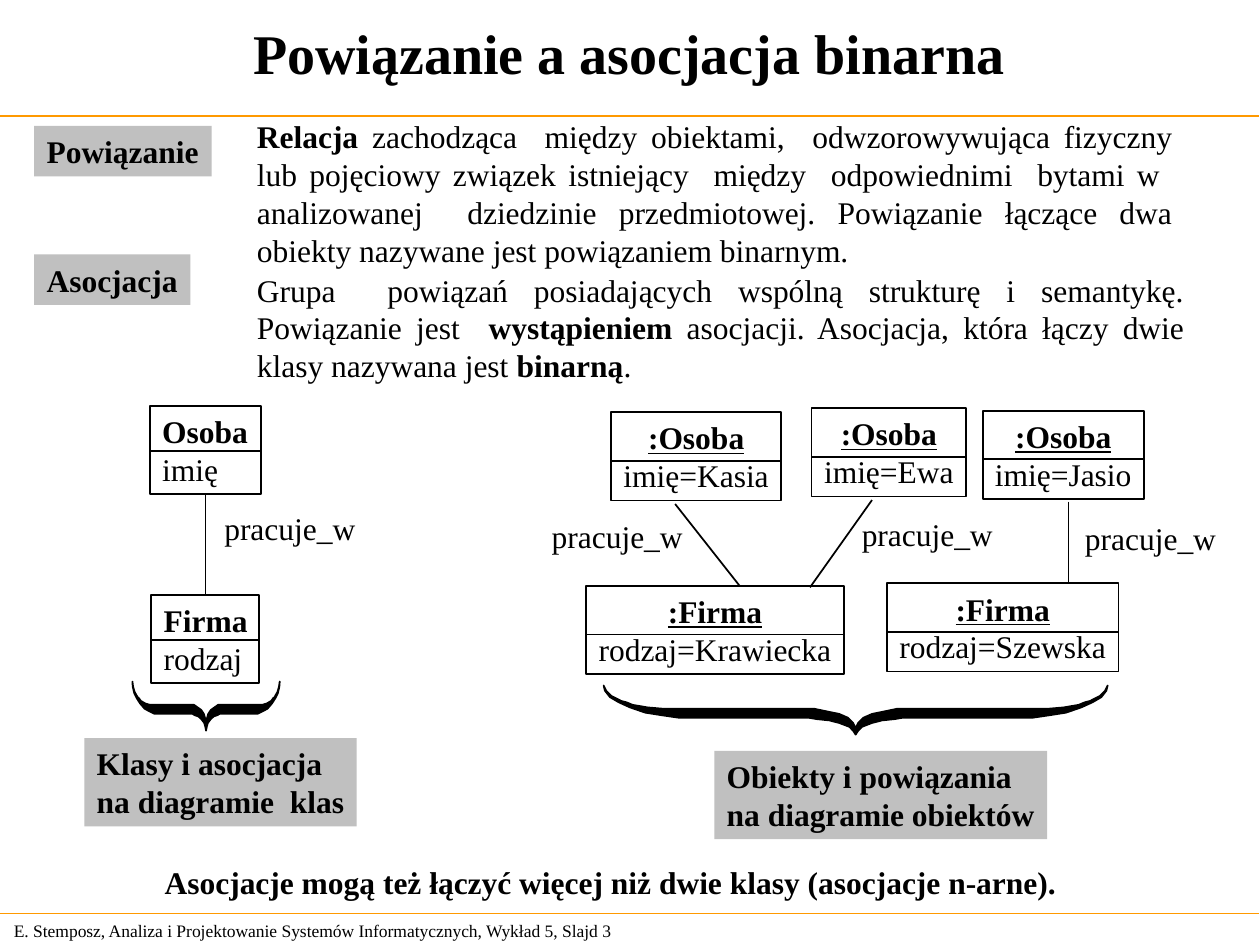
from lxml import etree
from pptx import Presentation
from pptx.dml.color import RGBColor
from pptx.enum import shapes, text
from pptx.oxml.ns import qn
from pptx.util import Cm, Pt

BLACK = RGBColor(0x00, 0x00, 0x00)
GREY = RGBColor(0xC0, 0xC0, 0xC0)
ORANGE = RGBColor(0xFF, 0x99, 0x00)
FONT = "Times New Roman"
LEFT, CENTER, JUSTIFY = text.PP_ALIGN.LEFT, text.PP_ALIGN.CENTER, text.PP_ALIGN.JUSTIFY
SIDE_MARGINS = {LEFT: (0.25, 0), CENTER: (0.1, 0.1), JUSTIFY: (0.25, 0.25)}

presentation = Presentation()
presentation.slide_width, presentation.slide_height = Cm(25.4), Cm(19.05)
slide = presentation.slides.add_slide(presentation.slide_layouts[5])


def write(shape, paragraphs, align=LEFT, size=18, middle=False):
    frame = shape.text_frame
    frame.word_wrap = True
    frame.auto_size = text.MSO_AUTO_SIZE.NONE
    frame.margin_left, frame.margin_right = [Cm(margin) for margin in SIDE_MARGINS[align]]
    frame.vertical_anchor = text.MSO_ANCHOR.MIDDLE if middle else text.MSO_ANCHOR.TOP
    for index, runs in enumerate(paragraphs):
        paragraph = frame.paragraphs[0] if index == 0 else frame.add_paragraph()
        paragraph.alignment = align
        for words, bold in runs:
            run = paragraph.add_run()
            run.text = words
            run.font.name, run.font.size, run.font.bold = FONT, Pt(size), bold
            run.font.color.rgb = BLACK


def add_line(x1, y1, x2, y2, color=BLACK, width=1):
    line = slide.shapes.add_connector(
        shapes.MSO_CONNECTOR.STRAIGHT, Cm(x1), Cm(y1), Cm(x2), Cm(y2))
    line.line.color.rgb, line.line.width = color, Pt(width)
    etree.SubElement(line._element.spPr, qn("a:effectLst"))
    return line


for y in (2.34, 18.42):
    add_line(0, y, 25.37, y, ORANGE, 0.75)

title = slide.shapes.title
title.left, title.top, title.width, title.height = Cm(0), Cm(-0.03), Cm(25.37), Cm(2.16)
write(title, [[("Powiązanie a asocjacja binarna", True)]], CENTER, 32, middle=True)

definitions = [
    (2.24, 18.97, 3.3, [
        ("Relacja ", True),
        ("zachodząca  między obiektami,  odwzorowywująca fizyczny lub pojęciowy związek "
         "istniejący  między  odpowiednimi  bytami w  analizowanej  dziedzinie przedmiotowej. "
         "Powiązanie łączące dwa obiekty nazywane jest powiązaniem binarnym.", False)]),
    (5.33, 19.2, 2.54, [
        ("Grupa  powiązań posiadających wspólną strukturę i semantykę. Powiązanie jest  ", False),
        ("wystąpieniem ", True),
        ("asocjacji. Asocjacja, która łączy dwie klasy nazywana jest ", False),
        ("binarną", True),
        (".", False)]),
]
for y, width, height, runs in definitions:
    box = slide.shapes.add_textbox(Cm(4.93), Cm(y), Cm(width), Cm(height))
    write(box, [runs], JUSTIFY)

grey_labels = [
    (0.69, 2.54, 3.58, ["Powiązanie"]),
    (0.69, 5.13, 3.15, ["Asocjacja"]),
    (1.7, 14.88, 5.49, ["Klasy i asocjacja", "na diagramie  klas"]),
    (14.4, 15.14, 6.71, ["Obiekty i powiązania", "na diagramie obiektów"]),
]
for x, y, width, lines in grey_labels:
    height = 1.02 if len(lines) == 1 else 1.78
    label = slide.shapes.add_shape(
        shapes.MSO_SHAPE.RECTANGLE, Cm(x), Cm(y), Cm(width), Cm(height))
    label.shadow.inherit = False
    label.fill.solid()
    label.fill.fore_color.rgb = GREY
    label.line.fill.background()
    write(label, [[(words, True)] for words in lines], middle=len(lines) == 1)

uml_boxes = [
    (3.02, 8.18, 2.24, "Osoba", "imię"),
    (3.05, 11.99, 2.18, "Firma", "rodzaj"),
    (12.32, 8.31, 3.43, ":Osoba", "imię=Kasia"),
    (16.36, 8.23, 3.12, ":Osoba", "imię=Ewa"),
    (19.81, 8.28, 3.25, ":Osoba", "imię=Jasio"),
    (11.81, 11.81, 5.21, ":Firma", "rodzaj=Krawiecka"),
    (17.88, 11.76, 4.67, ":Firma", "rodzaj=Szewska"),
]
drawn_boxes = []
for x, y, width, name, attribute in uml_boxes:
    is_object = name.startswith(":")
    box = slide.shapes.add_shape(
        shapes.MSO_SHAPE.RECTANGLE, Cm(x), Cm(y), Cm(width), Cm(1.78))
    box.shadow.inherit = False
    box.fill.background()
    box.line.color.rgb, box.line.width = BLACK, Pt(1)
    write(box, [[(name, True)], [(attribute, False)]], CENTER if is_object else LEFT)
    box.text_frame.paragraphs[0].runs[0].font.underline = is_object
    divider_y = y + (0.98 if is_object else 0.91)
    add_line(x, divider_y, x + width, divider_y)
    drawn_boxes.append(box)

association = add_line(4.14, 9.96, 4.14, 11.99)
association.begin_connect(drawn_boxes[0], 2)
association.end_connect(drawn_boxes[1], 0)
for ends in [(13.61, 10.16, 14.91, 11.81),
             (17.58, 10.08, 16.33, 11.84),
             (21.54, 10.11, 21.54, 11.76)]:
    add_line(*ends)

for x, y in [(4.27, 10.13), (10.87, 10.29), (17.12, 10.26), (21.62, 10.34)]:
    box = slide.shapes.add_textbox(Cm(x), Cm(y), Cm(3.15), Cm(1.02))
    write(box, [[("pracuje_w", False)]], CENTER)

upper_edge = [(0, 0), (1, 2), (2, 4), (4, 6), (6, 8), (10, 10), (14, 12), (18, 13), (23, 15),
              (29, 16), (35, 17), (47, 18), (155, 18), (167, 18), (177, 20), (187, 22),
              (194, 25), (198, 29), (200, 33)]
lower_edge = [(200, 38), (198, 35), (195, 32), (187, 29), (179, 27), (169, 26), (163, 25),
              (75, 25), (60, 25), (46, 23), (33, 21), (21, 17), (12, 13), (5, 9), (1, 4)]
right_half = [(400 - x, y) for x, y in upper_edge[-2::-1] + lower_edge[:0:-1]]
outline = upper_edge + right_half + lower_edge
for x, y, width in [(2.67, 13.74, 2.97), (12.17, 13.82, 10.16)]:
    builder = slide.shapes.build_freeform(0, 0, scale=(Cm(width) / 400, Cm(0.99) / 38))
    builder.add_line_segments(outline[1:], close=True)
    brace = builder.convert_to_shape(Cm(x), Cm(y))
    brace.shadow.inherit = False
    brace.fill.solid()
    brace.fill.fore_color.rgb = BLACK
    brace.line.color.rgb, brace.line.width = BLACK, Pt(1)

summary = slide.shapes.add_textbox(Cm(3.07), Cm(17.27), Cm(18.49), Cm(1.02))
write(summary, [[("Asocjacje mogą też łączyć więcej niż dwie klasy (asocjacje n-arne).", True)]],
      middle=True)
footer = slide.shapes.add_textbox(Cm(0.03), Cm(18.42), Cm(13.31), Cm(0.69))
write(footer, [[("E. Stemposz, Analiza i Projektowanie Systemów Informatycznych, "
                 "Wykład 5, Slajd 3", False)]], size=10, middle=True)

presentation.save("out.pptx")
